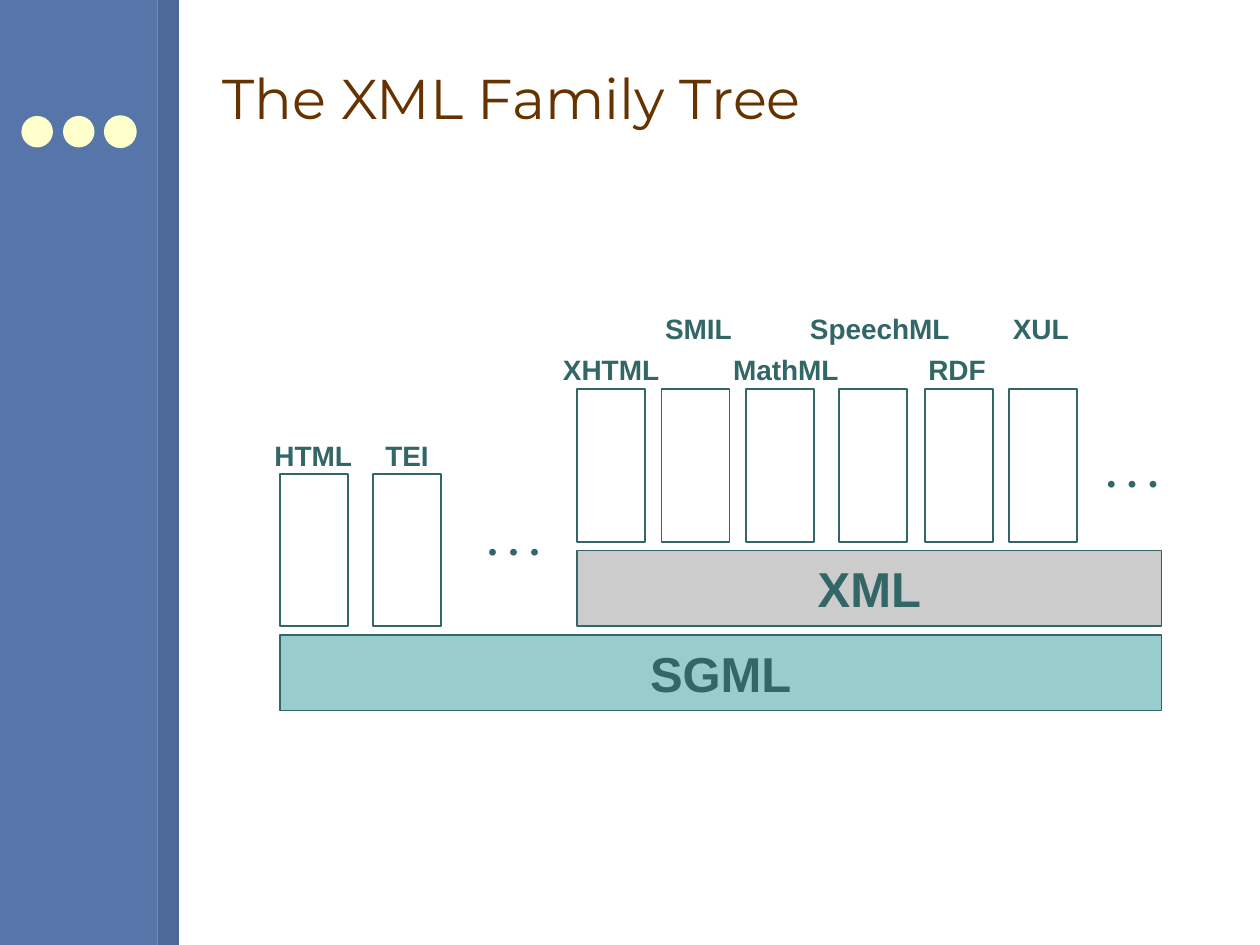
from pptx import Presentation
from pptx.dml.color import RGBColor
from pptx.enum.shapes import MSO_SHAPE
from pptx.enum.text import MSO_ANCHOR, PP_ALIGN
from pptx.util import Inches, Pt

COLORS = {
    "sidebar": "5675A9",
    "sidebar_edge": "4D6997",
    "dot": "FFFFCC",
    "title": "663300",
    "ink": "336666",
    "sgml": "99CCCC",
    "xml": "CCCCCC",
    "language": "FFFFFF",
}
LANGUAGE_WIDTH, LANGUAGE_HEIGHT = 0.54, 1.21
SGML_TOP, XML_TOP = 3.76, 3.09
LOW_LABEL, HIGH_LABEL = 2.75, 2.42

# name, box left, box top, label left, label top, label width
LANGUAGES = [
    ("HTML", 2.22, SGML_TOP, 2.08, 3.43, 0.82),
    ("TEI", 2.96, SGML_TOP, 2.96, 3.43, 0.55),
    ("XHTML", 4.58, XML_TOP, 4.37, LOW_LABEL, 0.97),
    ("SMIL", 5.25, XML_TOP, 5.18, HIGH_LABEL, 0.73),
    ("MathML", 5.92, XML_TOP, 5.72, LOW_LABEL, 1.04),
    ("SpeechML", 6.66, XML_TOP, 6.33, HIGH_LABEL, 1.31),
    ("RDF", 7.34, XML_TOP, 7.27, LOW_LABEL, 0.66),
    ("XUL", 8.01, XML_TOP, 7.94, HIGH_LABEL, 0.65),
]


def rgb(name):
    return RGBColor.from_string(COLORS[name])


def add_block(slide, left, top, width, height, fill, line=None,
              line_width=1, kind=MSO_SHAPE.RECTANGLE):
    block = slide.shapes.add_shape(
        kind, Inches(left), Inches(top), Inches(width), Inches(height))
    block.shadow.inherit = False
    block.fill.solid()
    block.fill.fore_color.rgb = rgb(fill)
    if line:
        block.line.color.rgb = rgb(line)
        block.line.width = Pt(line_width)
    else:
        block.line.fill.background()
    return block


def write(shape, text, size=16, font="Arial", color="ink", bold=True,
          align=PP_ALIGN.LEFT, anchor=MSO_ANCHOR.TOP, wrap=False):
    frame = shape.text_frame
    frame.word_wrap = wrap
    frame.vertical_anchor = anchor
    paragraph = frame.paragraphs[0]
    paragraph.alignment = align
    run = paragraph.add_run()
    run.text = text
    run.font.size = Pt(size)
    run.font.name = font
    run.font.bold = bold
    run.font.color.rgb = rgb(color)


def add_label(slide, text, left, top, width, height=0.37, **text_format):
    label = slide.shapes.add_textbox(
        Inches(left), Inches(top), Inches(width), Inches(height))
    write(label, text, **text_format)


def add_sidebar(slide):
    add_block(slide, 0, 0, 1.25, 7.5, "sidebar")
    add_block(slide, 1.25, 0, 0.17, 7.5, "sidebar_edge")
    for left, line in ((0.17, None), (0.5, None), (0.83, "dot")):
        add_block(slide, left, 0.92, 0.25, 0.25, "dot", line,
                  line_width=0.75, kind=MSO_SHAPE.OVAL)


def add_base(slide, name, left, top, width, fill):
    """Draw the wide bar of a metalanguage that others stand on."""
    base = add_block(slide, left, top, width, 0.6, fill, "ink")
    write(base, name, size=28, align=PP_ALIGN.CENTER,
          anchor=MSO_ANCHOR.MIDDLE)


def add_language(slide, name, left, top, label_left, label_top, label_width):
    add_block(slide, left, top, LANGUAGE_WIDTH, LANGUAGE_HEIGHT,
              "language", "ink")
    add_label(slide, name, label_left, label_top, label_width)


def main():
    deck = Presentation()
    deck.slide_width, deck.slide_height = Inches(10), Inches(7.5)
    slide = deck.slides.add_slide(deck.slide_layouts[6])

    add_sidebar(slide)
    add_label(slide, "The XML Family Tree", 1.67, 0.21, 8, 1.13, size=32,
              font="Montserrat", color="title", bold=False,
              anchor=MSO_ANCHOR.MIDDLE, wrap=True)
    add_base(slide, "SGML", 2.22, 5.04, 7, "sgml")
    add_base(slide, "XML", 4.58, 4.37, 4.64, "xml")
    for language in LANGUAGES:
        add_language(slide, *language)
    for left, top, width in ((3.77, 4.03, 0.62), (8.68, 3.49, 0.7)):
        add_label(slide, ". . .", left, top, width, 0.5, size=24,
                  font="Times New Roman")

    deck.save("out.pptx")


if __name__ == "__main__":
    main()
